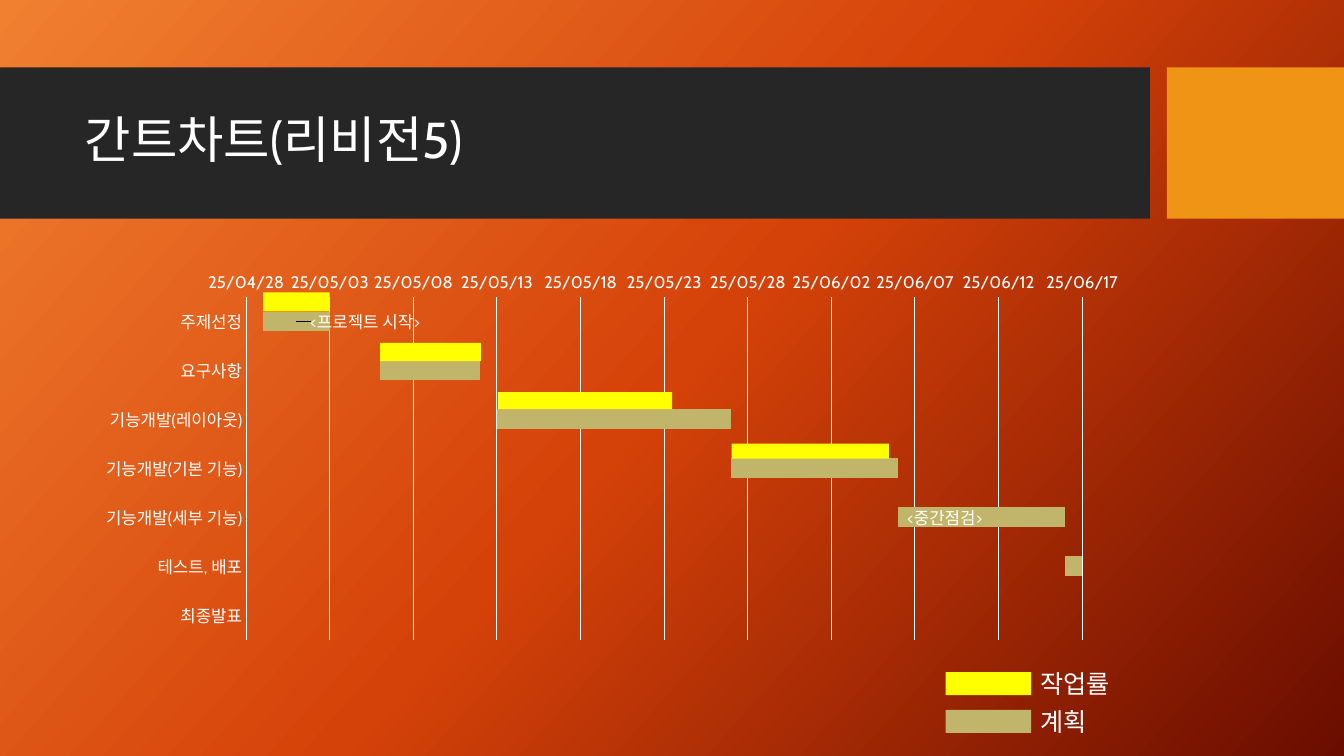
import copy

import lxml.etree
import pptx
import pptx.chart.data
import pptx.dml.color
import pptx.enum.chart
import pptx.enum.text
import pptx.oxml.ns
import pptx.util
from pptx.util import Cm

FONT = "Cabin"
WHITE, YELLOW, KHAKI = "FFFFFF", "FFFF00", "C1B56B"


def paint(target, color):
    """Give a fill or a line's fill one solid colour."""
    target.solid()
    target.fore_color.rgb = pptx.dml.color.RGBColor.from_string(color)


def write(frame, text, size, anchor=None, spacing=None):
    """Fill a text frame with one left-aligned white paragraph."""
    frame.word_wrap = True
    frame.vertical_anchor = anchor
    para = frame.paragraphs[0]
    para.alignment = pptx.enum.text.PP_ALIGN.LEFT
    para.line_spacing = spacing
    span = para.add_run()
    span.text = text
    span.font.name = FONT
    span.font.size = pptx.util.Pt(size)
    paint(span.font.fill, WHITE)


deck = pptx.Presentation()
deck.slide_width, deck.slide_height = Cm(33.87), Cm(19.05)
page = deck.slides.add_slide(deck.slide_layouts[5])

# Background gradient
backdrop = page.background.fill
backdrop.gradient()
backdrop.gradient_angle = 360 - 42
stop_list = next(page.element.iter(pptx.oxml.ns.qn("a:gsLst")))
stop_list.insert(1, copy.deepcopy(stop_list[0]))
for stop, (position, color) in zip(
    backdrop.gradient_stops, [(0, "F18031"), (0.5, "D54209"), (1, "6A0D00")]
):
    stop.position = position
    stop.color.rgb = pptx.dml.color.RGBColor.from_string(color)

# Gantt chart: an unfilled start date carries each planned duration
plan = [
    ("주제선정", 45776, 4),
    ("요구사항", 45783, 6),
    ("기능개발(레이아웃)", 45790, 14),
    ("기능개발(기본 기능)", 45804, 10),
    ("기능개발(세부 기능)", 45814, 10),
    ("테스트, 배포", 45824, 6),
    ("최종발표", 45831, 8),
]
tasks, starts, durations = zip(*plan)
data = pptx.chart.data.CategoryChartData()
data.categories = tasks
data.add_series("Series 1", starts)
data.add_series("Series 2", durations)
chart = page.shapes.add_chart(
    pptx.enum.chart.XL_CHART_TYPE.BAR_STACKED,
    Cm(1.88), Cm(6.5), Cm(26.7), Cm(10.01), data,
).chart
chart.has_legend = False
chart.has_title = False
chart.font.name = FONT
chart.font.size = pptx.util.Pt(12)
paint(chart.font.fill, WHITE)

plot = chart.plots[0]
plot.gap_width, plot.overlap = 150, 100
plot.vary_by_categories = False
start_bars, plan_bars = plot.series
start_bars.format.fill.background()
start_bars.format.line.fill.background()
paint(plan_bars.format.fill, KHAKI)

task_axis, date_axis = chart.category_axis, chart.value_axis
for axis in (task_axis, date_axis):
    axis.major_tick_mark = pptx.enum.chart.XL_TICK_MARK.NONE
    axis.minor_tick_mark = pptx.enum.chart.XL_TICK_MARK.NONE
task_axis.reverse_order = True
date_axis.minimum_scale, date_axis.maximum_scale = 45775, 45825
date_axis.major_unit = 5
date_axis.has_major_gridlines = True
date_axis.tick_labels.number_format = "yy/mm/dd"
date_axis.tick_labels.number_format_is_linked = False
date_axis.format.line.fill.background()
for rule in (task_axis.format.line, date_axis.major_gridlines.format.line):
    rule.width = pptx.util.Pt(0.75)
    paint(rule.fill, WHITE)


def make_layout(**settings):
    """Build a manual chart layout; settings follow the schema's order."""
    layout = lxml.etree.Element(pptx.oxml.ns.qn("c:layout"))
    manual = lxml.etree.SubElement(layout, pptx.oxml.ns.qn("c:manualLayout"))
    for name, value in settings.items():
        lxml.etree.SubElement(manual, pptx.oxml.ns.qn("c:" + name), val=str(value))
    return layout


plot_area = next(chart.element.iter(pptx.oxml.ns.qn("c:plotArea")))
for old_layout in plot_area.findall(pptx.oxml.ns.qn("c:layout")):
    plot_area.remove(old_layout)
plot_area.insert(0, make_layout(
    layoutTarget="inner", xMode="edge", yMode="edge",
    x=0.162, y=0.098, w=0.789, h=0.863,
))

milestones = [(0, "<프로젝트 시작>", 0.065), (4, "<중간점검>", -0.035)]
for index, text, shift in milestones:
    write(plan_bars.points[index].data_label.text_frame, text, 12)
for label, (index, text, shift) in zip(
    chart.element.iter(pptx.oxml.ns.qn("c:dLbl")), milestones
):
    label.insert(1, make_layout(x=shift, y=0))

# Title band, progress bars and legend swatches
legend = [("작업률", YELLOW), ("계획", KHAKI)]
legend_top, legend_step = 16.94, 0.95
blocks = [
    (0, 1.7, 28.98, 3.81, "262626"),
    (29.41, 1.7, 4.46, 3.81, "F09415"),
    (6.63, 7.37, 1.68, 0.48, YELLOW),
    (9.58, 8.64, 2.54, 0.46, YELLOW),
    (12.55, 9.88, 4.39, 0.43, YELLOW),
    (18.44, 11.18, 3.96, 0.38, YELLOW),
]
for row, (text, color) in enumerate(legend):
    top = legend_top + row * legend_step
    blocks.append((23.83, top, 2.16, 0.58, color))
    box = page.shapes.add_textbox(Cm(25.96), Cm(top - 0.22), Cm(2.64), Cm(1.02))
    write(box.text_frame, text, 18)
for left, top, width, height, color in blocks:
    block = page.shapes.add_shape(
        pptx.enum.shapes.MSO_SHAPE.RECTANGLE, Cm(left), Cm(top), Cm(width), Cm(height)
    )
    block.shadow.inherit = False
    paint(block.fill, color)
    block.line.fill.background()

# The title goes above its band
title = page.shapes.title
title.left, title.top, title.width, title.height = Cm(1.88), Cm(2.08), Cm(26.7), Cm(3)
write(title.text_frame, "간트차트(리비전5)", 36,
      anchor=pptx.enum.text.MSO_ANCHOR.MIDDLE, spacing=0.9)
block.element.addnext(title.element)

deck.save("out.pptx")
